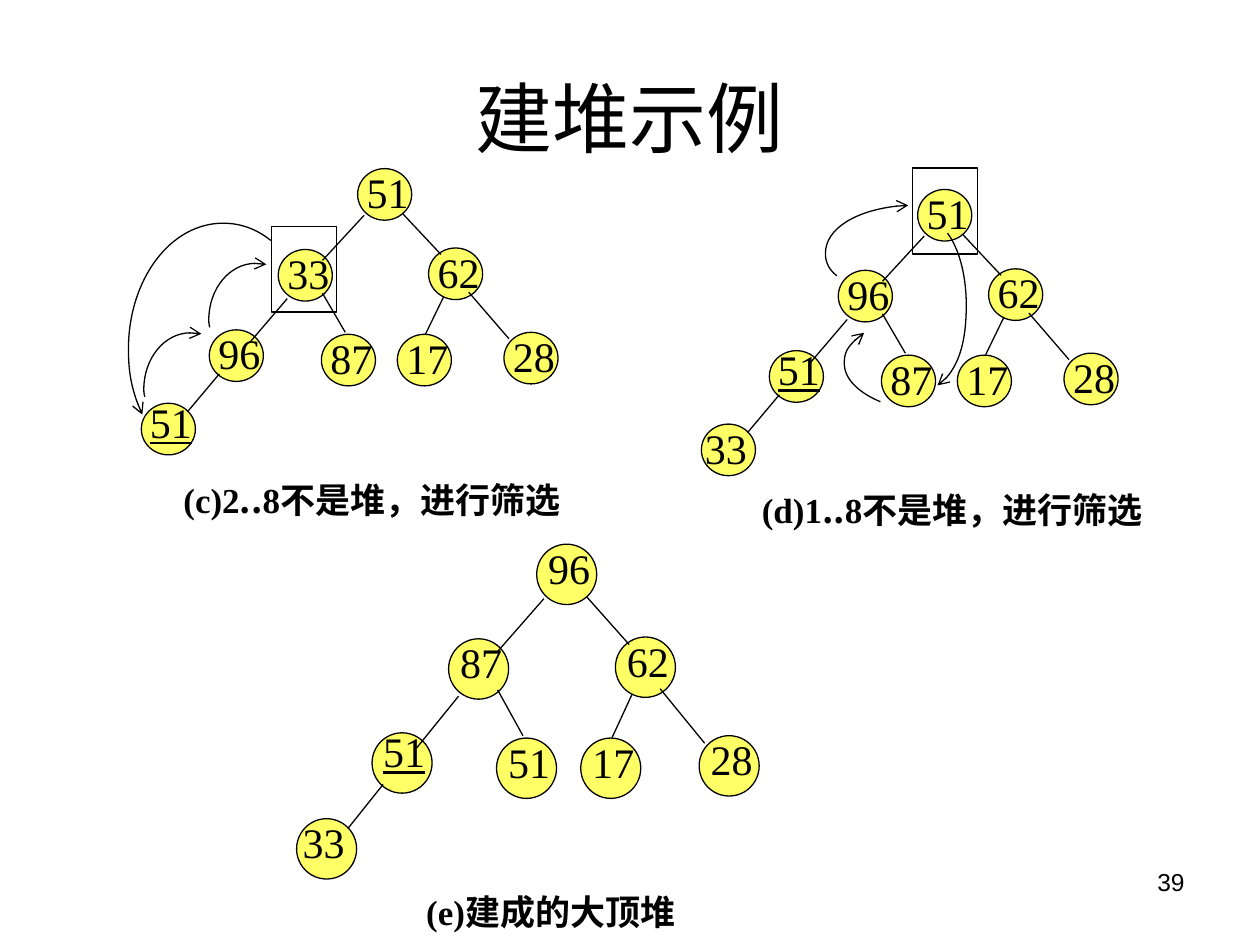
from lxml import etree
from pptx import Presentation
from pptx.dml.color import RGBColor
from pptx.enum import shapes as kinds, text as align
from pptx.oxml.ns import qn
from pptx.util import Cm, Pt

BLACK = RGBColor(0x00, 0x00, 0x00)
YELLOW = RGBColor(0xFF, 0xFF, 0x66)
SERIF, SANS, CJK = "Times New Roman", "Arial", "Noto Sans CJK SC"
MID, RIGHT = align.PP_ALIGN.CENTER, align.PP_ALIGN.RIGHT


def write(frame, runs, size, side=MID, bold=None, under=None):
    """Fill a text frame with one paragraph of (text, font) runs."""
    frame.word_wrap = True
    para = frame.paragraphs[0]
    para.alignment = side
    for words, face in runs:
        run = para.add_run()
        run.text = words
        font = run.font
        font.name, font.size, font.bold, font.underline = face, Pt(size), bold, under
        font.color.rgb = BLACK


def outline(shape, fill=None):
    """Give a shape a thin black line, no shadow, and a fill or none."""
    shape.shadow.inherit = False
    shape.line.color.rgb = BLACK
    shape.line.width = Pt(0.75)
    if fill is None:
        shape.fill.background()
    else:
        shape.fill.solid()
        shape.fill.fore_color.rgb = fill


deck = Presentation()
deck.slide_width, deck.slide_height = Cm(25.4), Cm(19.05)
slide = deck.slides.add_slide(deck.slide_layouts[5])

# Title
title = slide.shapes.title
title.left, title.top, title.width, title.height = Cm(1.27), Cm(0.76), Cm(22.86), Cm(3.18)
write(title.text_frame, [("建堆示例", SANS)], 44)

# Heap layout: node corners and edges in cm, measured from the root's corner
NODES = [(0, 0), (-1.6, 1.63), (1.43, 1.6), (-2.99, 3.25),
         (-0.73, 3.34), (0.8, 3.34), (2.95, 3.3), (-4.36, 4.73)]
EDGES = [(0.13, 0.94, -0.71, 1.85), (0.91, 0.91, 1.68, 1.73),
         (-1.42, 2.62, -2.18, 3.51), (-0.71, 2.51, -0.25, 3.3),
         (1.73, 2.59, 1.37, 3.33), (2.24, 2.49, 3.05, 3.43),
         (-2.79, 4.14, -3.43, 4.9)]

# Root corner, x and y scale, keys in level order, index of the underlined key
TREES = [
    (7.21, 3.4, 1, 1, [51, 33, 62, 96, 87, 17, 28, 51], 7),
    (18.5, 3.82, 1, 1, [51, 96, 62, 51, 87, 17, 28, 33], 3),
    (10.82, 10.97, 1.11, 1.17, [96, 87, 62, 51, 51, 17, 28, 33], 3),
]
for left, top, wide, high, keys, mark in TREES:
    tree = slide.shapes.add_group_shape().shapes
    for x, y in NODES:
        node = tree.add_shape(kinds.MSO_SHAPE.OVAL, Cm(left + x * wide), Cm(top + y * high),
                              Cm(1.09 * wide), Cm(1.04 * high))
        outline(node, YELLOW)
    for x1, y1, x2, y2 in EDGES:
        edge = tree.add_connector(kinds.MSO_CONNECTOR.STRAIGHT,
                                  Cm(left + x1 * wide), Cm(top + y1 * high),
                                  Cm(left + x2 * wide), Cm(top + y2 * high))
        edge.line.color.rgb = BLACK
        edge.line.width = Pt(0.75)
        etree.SubElement(edge._element.spPr, qn("a:effectLst"))
    for i, (x, y) in enumerate(NODES):
        # The underlined key sits higher, a plain last key further left
        if i == mark:
            dx, dy = 0.14, -0.14
        else:
            dx, dy = 0.04 if i == 7 else 0.15, -0.04
        label = tree.add_textbox(Cm(left + x * wide + dx), Cm(top + y * high + dy),
                                 Cm(0.91 * wide), Cm(1.21 * high))
        frame = label.text_frame
        frame.margin_left = frame.margin_right = frame.margin_top = 0
        frame.margin_bottom = Cm(0.1)
        write(frame, [(str(keys[i]), SERIF)], 24, under=(i == mark) or None)

# Frames around the keys being sifted
for x, y in [(5.47, 4.56), (18.39, 3.39)]:
    outline(slide.shapes.add_shape(kinds.MSO_SHAPE.RECTANGLE, Cm(x), Cm(y), Cm(1.32), Cm(1.73)))

# Curved arrows: start, then three points per cubic curve, ending at the arrowhead
RISE = [(2.92, 8), (2.9, 7.95), (2.9, 7.9), (2.9, 7.85), (2.9, 7.21), (3.33, 6.71),
        (3.84, 6.71), (3.91, 6.71), (3.99, 6.71), (4.06, 6.73)]
ARCS = [
    RISE,
    [(x + 1.31, y - 1.4) for x, y in RISE],
    [(5.46, 4.85), (5.18, 4.62), (4.85, 4.5), (4.5, 4.5), (3.43, 4.5), (2.59, 5.64),
     (2.59, 7.04), (2.59, 7.52), (2.69, 7.98), (2.87, 8.36)],
    [(19.1, 4.7), (19.33, 5), (19.48, 5.54), (19.48, 6.15),
     (19.48, 6.91), (19.25, 7.57), (18.9, 7.77)],
    [(17.75, 8.1), (17.32, 7.92), (17.02, 7.65), (17.02, 7.32),
     (17.02, 7.09), (17.17, 6.88), (17.42, 6.71)],
    [(16.87, 5.56), (16.71, 5.44), (16.64, 5.28), (16.64, 5.11),
     (16.64, 4.6), (17.4, 4.17), (18.31, 4.14)],
]
for arc in ARCS:
    dots = [(Cm(x), Cm(y)) for x, y in arc]
    pen = slide.shapes.build_freeform(*dots[0])
    pen.add_line_segments(dots[1:], close=False)
    curve = pen.convert_to_shape()
    outline(curve)
    etree.SubElement(curve.line._get_or_add_ln(), qn("a:tailEnd"), type="arrow")
    # Join every three line segments into one cubic curve
    legs = list(curve._element.iter(qn("a:lnTo")))
    for i in range(0, len(legs), 3):
        legs[i].tag = qn("a:cubicBezTo")
        for leg in legs[i + 1:i + 3]:
            legs[i].append(leg[0])
            leg.getparent().remove(leg)

# Captions and page number
SIFT = [("..", CJK), ("8", SERIF), ("不是堆，进行筛选", SANS)]
NOTES = [
    (1.3, 9.53, 12.4, 1.4, [("(c)2", SERIF)] + SIFT, 20, MID, True),
    (13, 9.73, 12.4, 1.6, [("(d)1", SERIF)] + SIFT, 20, MID, True),
    (4.22, 17.83, 13.77, 1.3, [("(e)", SERIF), ("建成的大顶堆", SANS)], 20, MID, True),
    (18.21, 17.35, 5.92, 1.32, [("39", SANS)], 14, RIGHT, None),
]
for x, y, w, h, runs, size, side, bold in NOTES:
    box = slide.shapes.add_textbox(Cm(x), Cm(y), Cm(w), Cm(h))
    write(box.text_frame, runs, size, side, bold)

deck.save("out.pptx")
